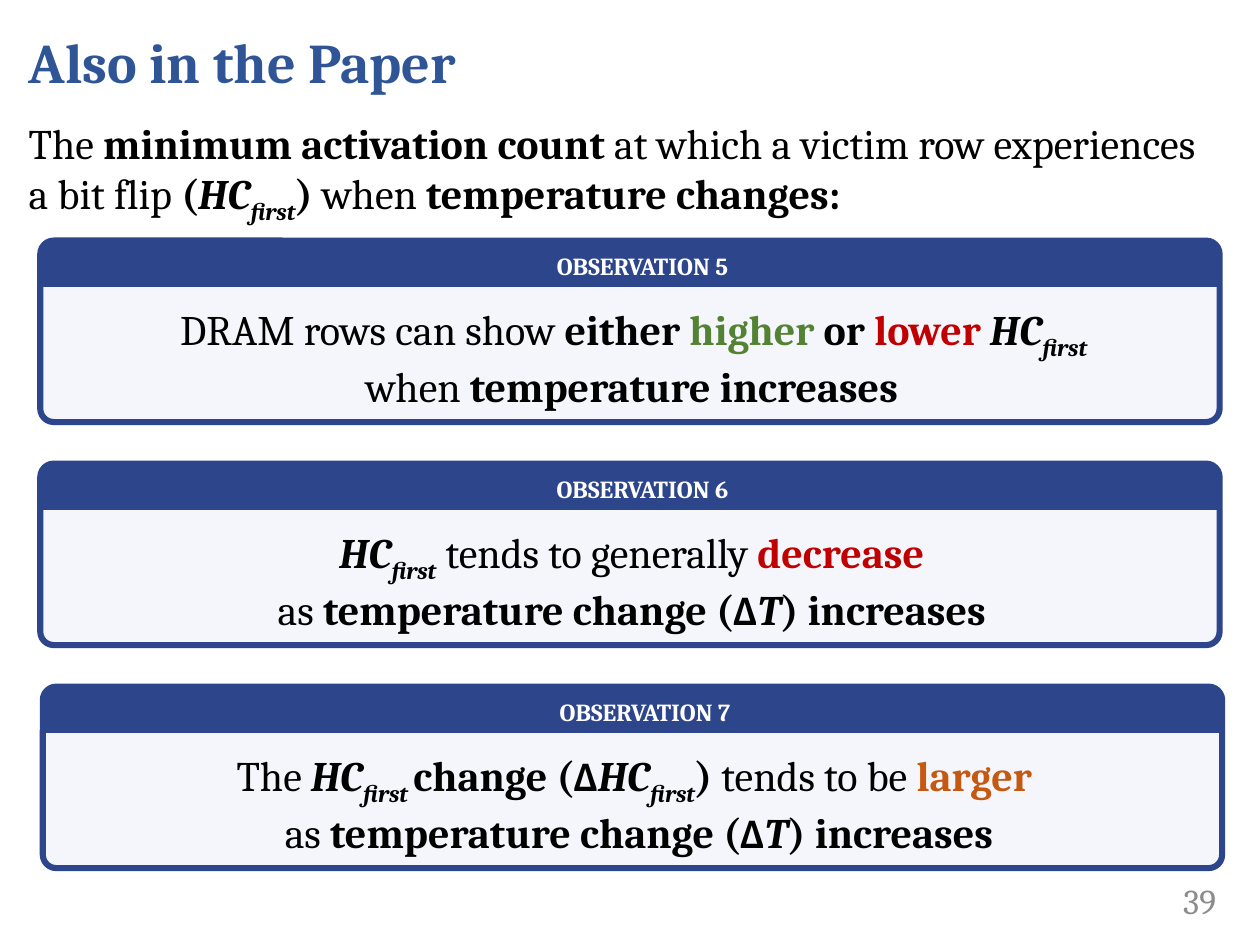
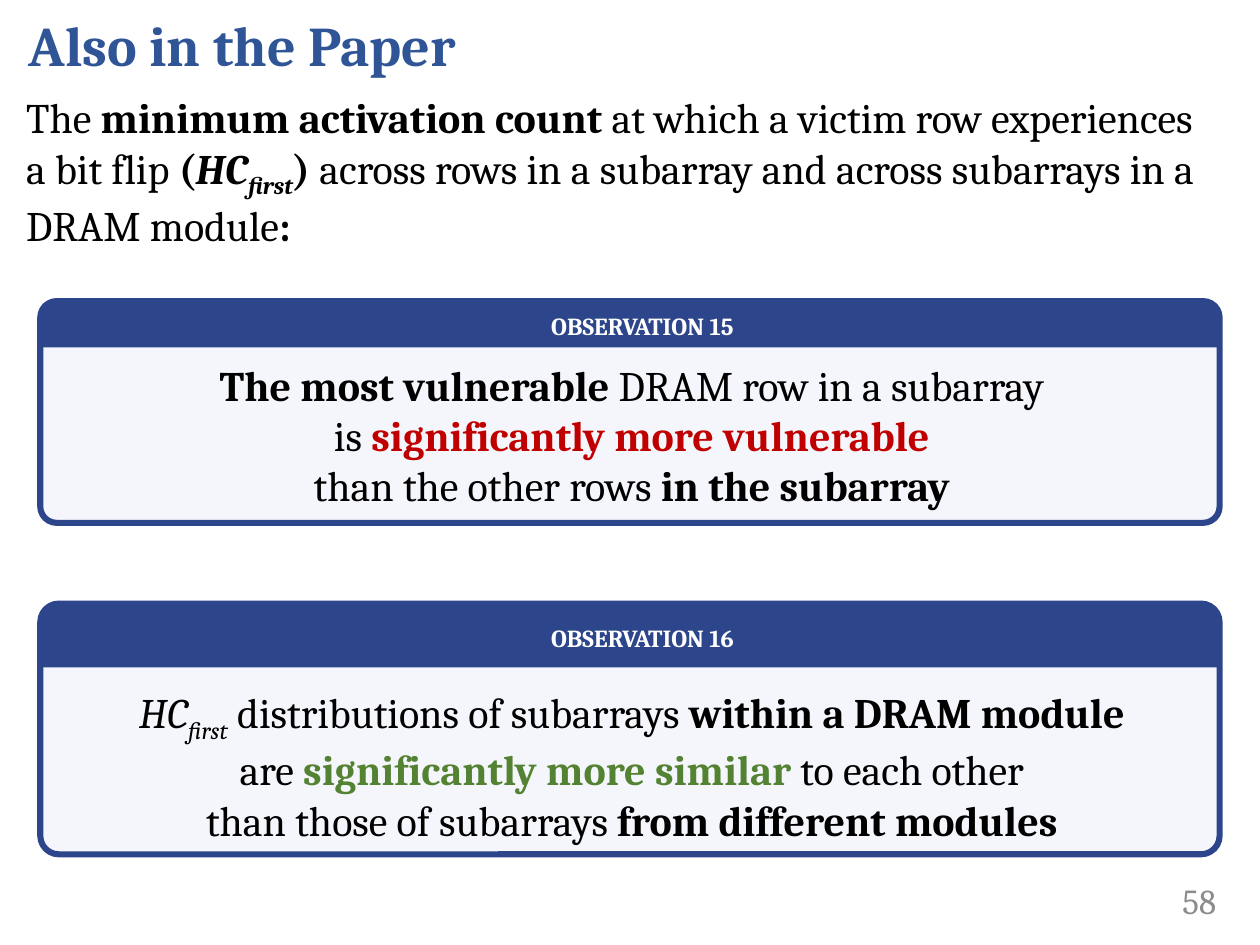
from pptx import Presentation
from pptx import util as u
from pptx.dml import color
from pptx.enum import shapes, text

FONT = "Cambria"
BLACK, WHITE, GREY = "000000", "FFFFFF", "8C8C8C"
TITLE_BLUE, NAVY, PALE = "2F5597", "2D458A", "F5F6FB"
GREEN, RED, ORANGE = "538233", "C00000", "C55911"
CARD_WIDTH = 9.36


def paint(target, value):
    """Give a fill, line fill or font a solid colour from a hex string."""
    if hasattr(target, "solid"):
        target.solid()
        target.fore_color.rgb = color.RGBColor.from_string(value)
    else:
        target.color.rgb = color.RGBColor.from_string(value)


def write(box, lines, size, align=text.PP_ALIGN.LEFT, anchor=text.MSO_ANCHOR.TOP,
          insets=(0.1, 0.05, 0.1, 0.05), grow=False):
    """Fill a box with lines of spans (wording, flags, colour).

    Flags: b bold, i italic, s subscript, d the font for the delta sign.
    """
    frame = box.text_frame
    frame.word_wrap = True
    frame.vertical_anchor = anchor
    frame.auto_size = (text.MSO_AUTO_SIZE.SHAPE_TO_FIT_TEXT if grow
                       else text.MSO_AUTO_SIZE.NONE)
    (frame.margin_left, frame.margin_top,
     frame.margin_right, frame.margin_bottom) = map(u.Inches, insets)
    for number, line in enumerate(lines):
        para = frame.paragraphs[0] if number == 0 else frame.add_paragraph()
        para.alignment = align
        for wording, flags, *tint in line:
            span = para.add_run()
            span.text = wording
            span.font.size = u.Pt(size)
            span.font.name = "Calibri" if "d" in flags else FONT
            span.font.bold = "b" in flags
            span.font.italic = "i" in flags
            paint(span.font, tint[0] if tint else BLACK)
            if "s" in flags:
                span.font._element.set("baseline", "-25000")


HC_FIRST = [("HC", "bi"), ("first", "bis")]
INTRO = [("The ", ""), ("minimum activation count", "b"),
         (" at which a victim row experiences a bit flip ", ""),
         ("(", "b"), *HC_FIRST, (") ", "b")]
DELTA_T_GROWS = [("as ", ""), ("temperature change (", "b"), ("Δ", "bd"),
                 ("T", "bi"), (") increases", "b")]

# Title and intro: left, top, width, height.
# Cards: number, left, top, height, band height, text offset, text height, lines.
pages = [
    {
        "number": "39",
        "title": (0.13, -0.14, 9.31, 1.25),
        "intro": (0.13, 0.88, 9.57, 0.91),
        "topic": [("when ", ""), ("temperature changes:", "b")],
        "cards": [
            (5 + row, left, 1.91 + 1.77 * row, 1.44, 0.36, 0.45, 0.91, lines)
            for row, (left, lines) in enumerate([
                (0.32, [
                    [("DRAM rows can show ", ""), ("either ", "b"),
                     ("higher", "b", GREEN), (" or ", "b"), ("lower ", "b", RED),
                     ("HC", "bi"), ("first ", "bis")],
                    [("when ", ""), ("temperature increases ", "b")],
                ]),
                (0.32, [
                    [*HC_FIRST, (" tends to generally ", ""), ("decrease ", "b", RED)],
                    [*DELTA_T_GROWS, (" ", "b")],
                ]),
                (0.34, [
                    [("The ", ""), ("HC", "bi"), ("first ", "bis"), ("change (", "b"),
                     ("Δ", "bd"), *HC_FIRST, (")", "b"), (" tends to be ", ""),
                     ("larger ", "b", ORANGE)],
                    DELTA_T_GROWS,
                ]),
            ])
        ],
    },
    {
        "number": "58",
        "title": (0.13, 0, 9.31, 0.7),
        "intro": (0.11, 0.68, 9.57, 1.31),
        "topic": [("across rows in a subarray and across subarrays in a DRAM module", ""),
                  (":", "b")],
        "cards": [
            (15, 0.32, 2.39, 1.76, 0.36, 0.41, 1.31, [
                [("The most vulnerable ", "b"), ("DRAM row in a subarray ", "")],
                [("is ", ""), ("significantly more vulnerable ", "b", RED)],
                [("than the other rows ", ""), ("in the subarray ", "b")],
            ]),
            (16, 0.32, 4.79, 1.99, 0.5, 0.61, 1.31, [
                [("HC", "i"), ("first", "is"), (" distributions of subarrays ", ""),
                 ("within a DRAM module ", "b")],
                [("are ", ""), ("significantly more similar ", "b", GREEN),
                 ("to each other ", "")],
                [("than those of subarrays ", ""), ("from different modules ", "b")],
            ]),
        ],
    },
]

deck = Presentation()
deck.slide_width, deck.slide_height = u.Inches(10), u.Inches(7.5)

for content in pages:
    page = deck.slides.add_slide(deck.slide_layouts[6])

    number_box = page.shapes.add_textbox(*map(u.Inches, (8.67, 6.95, 1.08, 0.4)))
    write(number_box, [[(content["number"], "", GREY)]], 20,
          text.PP_ALIGN.RIGHT, text.MSO_ANCHOR.MIDDLE)

    title = page.shapes.add_textbox(*map(u.Inches, content["title"]))
    write(title, [[("Also in the Paper", "b", TITLE_BLUE)]], 32,
          anchor=text.MSO_ANCHOR.MIDDLE)
    title.text_frame.paragraphs[0].space_after = u.Pt(6)

    intro = page.shapes.add_textbox(*map(u.Inches, content["intro"]))
    write(intro, [INTRO + content["topic"]], 24, grow=True)

    for number, left, top, height, band_height, offset, text_height, lines in content["cards"]:
        card = page.shapes.add_group_shape().shapes
        panels = []
        for preset, panel_height, corners, fill, weight in [
            (shapes.MSO_SHAPE.ROUNDED_RECTANGLE, height, [0.074], PALE, 3.5),
            (shapes.MSO_SHAPE.ROUND_2_SAME_RECTANGLE, band_height, [0.337, 0], NAVY, 1),
        ]:
            panel = card.add_shape(
                preset, *map(u.Inches, (left, top, CARD_WIDTH, panel_height)))
            for index, corner in enumerate(corners):
                panel.adjustments[index] = corner
            panel.shadow.inherit = False
            paint(panel.fill, fill)
            paint(panel.line, NAVY)
            panel.line.width = u.Pt(weight)
            panels.append(panel)
        write(panels[1], [[(f"OBSERVATION {number}", "b", WHITE)]], 14,
              text.PP_ALIGN.CENTER, text.MSO_ANCHOR.MIDDLE, (0.2, 0, 0, 0))

        finding = card.add_textbox(
            *map(u.Inches, (left, top + offset, CARD_WIDTH, text_height)))
        write(finding, lines, 24, text.PP_ALIGN.CENTER,
              insets=(0.2, 0.05, 0.1, 0.05), grow=True)

deck.save("out.pptx")
